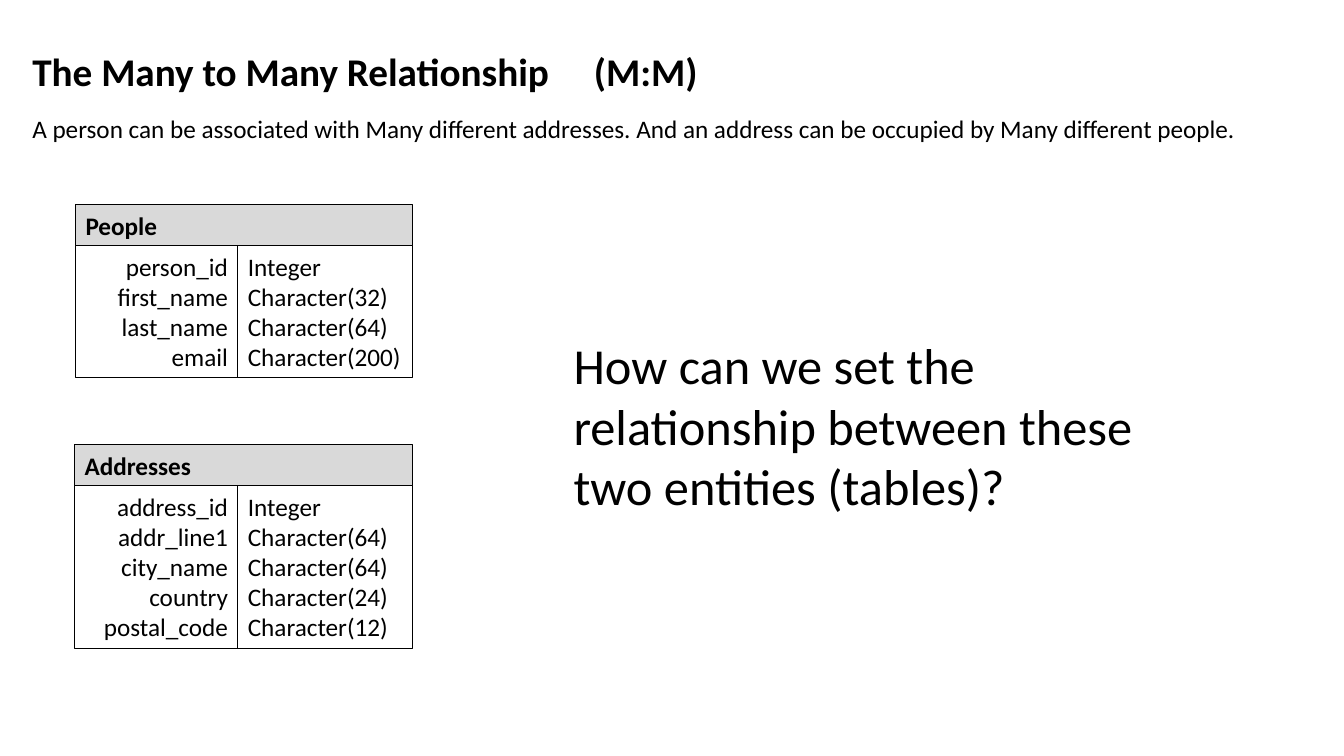
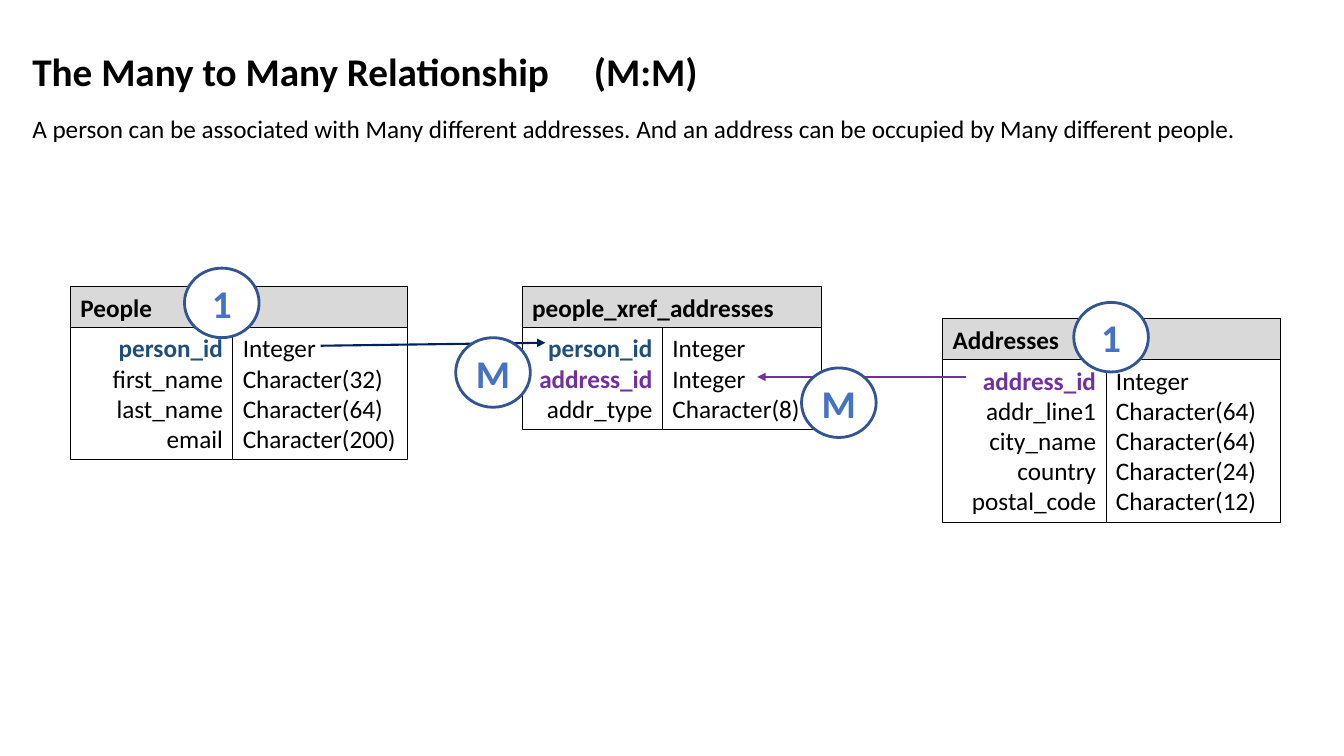
from lxml.etree import SubElement
from pptx import Presentation
from pptx.dml.color import RGBColor
from pptx.enum.shapes import MSO_CONNECTOR, MSO_SHAPE
from pptx.enum.text import MSO_ANCHOR, MSO_AUTO_SIZE, PP_ALIGN
from pptx.oxml.ns import qn
from pptx.util import Inches, Pt

COLORS = {
    "text": "000000", "header": "D9D9D9", "white": "FFFFFF",
    "person": "1F4E79", "address": "7030A0", "person_arrow": "002060",
    "badge_line": "325491", "badge_text": "4472C4",
}
FONT = "Calibri"
HEADER_HEIGHT = 0.41
LINE_HEIGHT = 0.3

PEOPLE = ("People", 1.61, 1.73, [
    ("person_id", "Integer"), ("first_name", "Character(32)"),
    ("last_name", "Character(64)"), ("email", "Character(200)")])
ADDRESSES = ("Addresses", 1.62, 1.73, [
    ("address_id", "Integer"), ("addr_line1", "Character(64)"),
    ("city_name", "Character(64)"), ("country", "Character(24)"),
    ("postal_code", "Character(12)")])
CROSS_REFERENCE = ("people_xref_addresses", 1.39, 1.58, [
    ("person_id", "Integer"), ("address_id", "Integer"),
    ("addr_type", "Character(8)")])

KEY_COLORS = {"person_id": "person", "address_id": "address"}
# Each page: entities with left and top, and the names drawn as keys
PAGES = [
    ([(ADDRESSES, 0.74, 4.41), (PEOPLE, 0.75, 2.03)], {}),
    ([(ADDRESSES, 9.35, 3.16), (PEOPLE, 0.7, 2.84),
      (CROSS_REFERENCE, 5.18, 2.84)], KEY_COLORS),
]


def write(shape, lines, size=18, bold=False, color="text", align=PP_ALIGN.LEFT,
          anchor=MSO_ANCHOR.TOP, keys={}):
    """Fill a shape with one paragraph per line; keys are bold and coloured."""
    frame = shape.text_frame
    frame.word_wrap = True
    frame.auto_size = MSO_AUTO_SIZE.NONE
    frame.vertical_anchor = anchor
    for index, line in enumerate(lines):
        para = frame.add_paragraph() if index else frame.paragraphs[0]
        para.alignment = align
        para.space_before = Pt(0)
        span = para.add_run()
        span.text = line
        span.font.name = FONT
        span.font.size = Pt(size)
        span.font.bold = bold or line in keys
        span.font.color.rgb = RGBColor.from_string(COLORS[keys.get(line, color)])


def add_outlined(shapes, kind, left, top, width, height, fill=None,
                 line="text", weight=0.75):
    shape = shapes.add_shape(kind, Inches(left), Inches(top),
                             Inches(width), Inches(height))
    shape.shadow.inherit = False
    if fill:
        shape.fill.solid()
        shape.fill.fore_color.rgb = RGBColor.from_string(COLORS[fill])
    else:
        shape.fill.background()
    shape.line.color.rgb = RGBColor.from_string(COLORS[line])
    shape.line.width = Pt(weight)
    return shape


deck = Presentation()
deck.slide_width = Inches(13.33)
deck.slide_height = Inches(7.5)

for entities, keys in PAGES:
    page = deck.slides.add_slide(deck.slide_layouts[1])

    title = page.shapes.title
    title.left, title.top = Inches(0.22), Inches(0.42)
    title.width, title.height = Inches(6.88), Inches(0.57)
    write(title, ["The Many to Many Relationship\t(M:M)"], size=28, bold=True)
    properties = title.text_frame.paragraphs[0]._p.get_or_add_pPr()
    tabs = SubElement(properties, qn("a:tabLst"))
    SubElement(tabs, qn("a:tab"), pos=str(Inches(5.57)), algn="l")

    body = page.placeholders[1]
    body.left, body.top = Inches(0.22), Inches(1.07)
    body.width, body.height = Inches(12.9), Inches(0.4)
    write(body, ["A person can be associated with Many different addresses. "
                 "And an address can be occupied by Many different people."])
    properties = body.text_frame.paragraphs[0]._p.get_or_add_pPr()
    properties.set("marL", "0")
    properties.set("indent", "0")
    SubElement(properties, qn("a:buNone"))

    for (name, name_width, type_width, fields), left, top in entities:
        entity = page.shapes.add_group_shape().shapes
        names, types = zip(*fields)
        fields_top = top + HEADER_HEIGHT
        fields_height = 0.11 + LINE_HEIGHT * len(fields)
        name_box = add_outlined(entity, MSO_SHAPE.RECTANGLE, left, fields_top,
                                name_width, fields_height)
        write(name_box, names, align=PP_ALIGN.RIGHT, keys=keys)
        type_box = add_outlined(entity, MSO_SHAPE.RECTANGLE, left + name_width,
                                fields_top, type_width, fields_height)
        write(type_box, types)
        header = add_outlined(entity, MSO_SHAPE.RECTANGLE, left, top,
                              name_width + type_width, HEADER_HEIGHT, "header")
        write(header, [name], bold=True, anchor=MSO_ANCHOR.MIDDLE)

question_page, answer_page = deck.slides

question = question_page.shapes.add_textbox(Inches(5.59), Inches(3.27),
                                            Inches(6.28), Inches(1.92))
write(question, ["How can we set the relationship between these two entities "
                 "(tables)?"], size=36)

# Arrows run from the key of an entity to the matching reference
for start_x, start_y, end_x, end_y, color in [
        (3.18, 3.43, 5.41, 3.4, "person_arrow"),
        (9.58, 3.74, 7.51, 3.74, "address")]:
    arrow = answer_page.shapes.add_connector(
        MSO_CONNECTOR.STRAIGHT, Inches(start_x), Inches(start_y),
        Inches(end_x), Inches(end_y))
    arrow.line.color.rgb = RGBColor.from_string(COLORS[color])
    arrow.line.width = Pt(1.5)
    SubElement(arrow.line._get_or_add_ln(), qn("a:tailEnd"), type="triangle")
    SubElement(arrow._element.spPr, qn("a:effectLst"))

for label, left, top in [("1", 1.83, 2.66), ("M", 4.52, 3.35),
                         ("M", 7.95, 3.65), ("1", 10.65, 3)]:
    badge = add_outlined(answer_page.shapes, MSO_SHAPE.OVAL, left, top,
                         0.74, 0.69, "white", "badge_line", 2)
    frame = badge.text_frame
    frame.margin_left = frame.margin_right = 0
    frame.margin_top = frame.margin_bottom = 0
    write(badge, [label], size=28, bold=True, color="badge_text",
          align=PP_ALIGN.CENTER, anchor=MSO_ANCHOR.MIDDLE)

deck.save("out.pptx")
